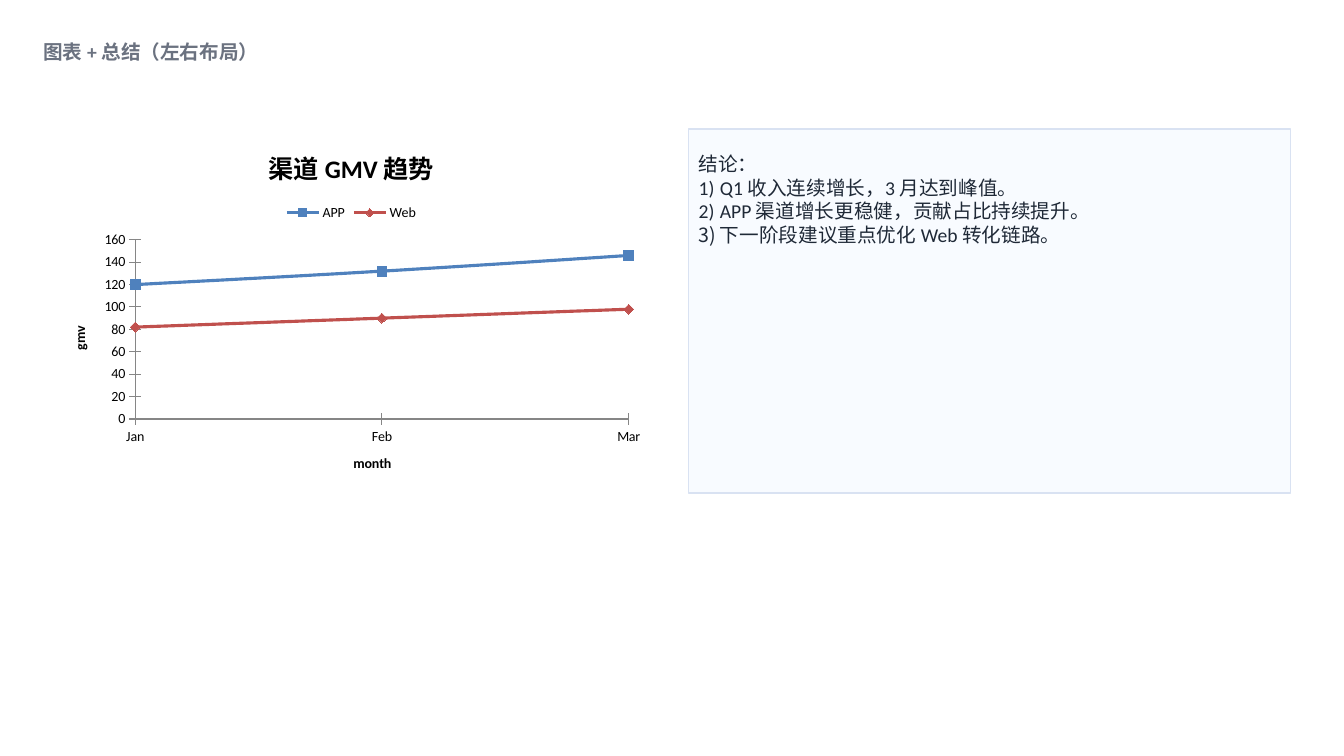
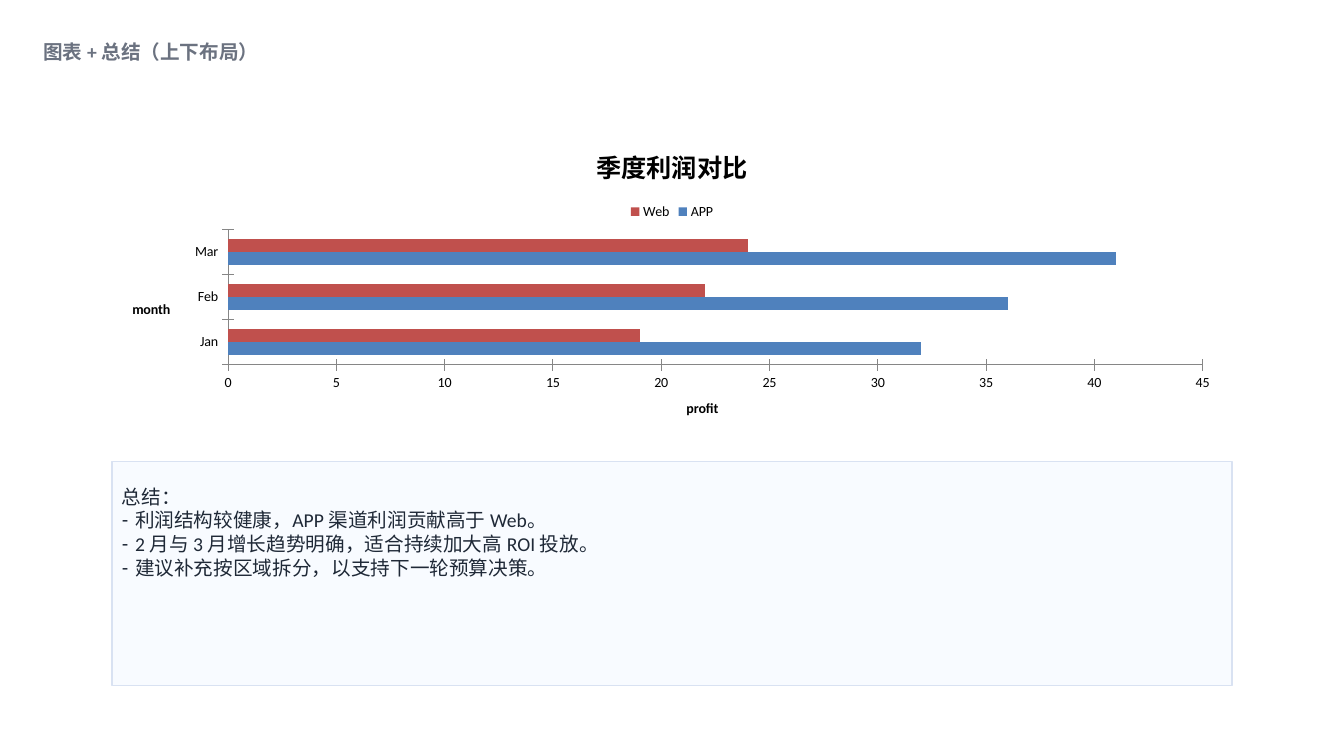
import pptx
import pptx.chart.data
import pptx.dml.color
import pptx.enum.chart
import pptx.enum.text
import pptx.oxml
import pptx.oxml.ns
import pptx.util
import lxml.etree

Inches = pptx.util.Inches
Pt = pptx.util.Pt
kinds = pptx.enum.chart.XL_CHART_TYPE
marks = pptx.enum.chart.XL_MARKER_STYLE
hues = {"title": "6B7280", "text": "1F2937", "panel": "F8FBFF", "edge": "D9E2F2",
        "chart": "000000", "axis": "868686", "APP": "4F81BD", "Web": "C0504D"}
shapes = {"APP": marks.SQUARE, "Web": marks.DIAMOND}
months = ["Jan", "Feb", "Mar"]

pages = [
    {"title": "图表 + 总结（左右布局）",
     "kind": kinds.LINE_MARKERS, "chart": "渠道 GMV 趋势", "value": "gmv",
     "data": {"APP": (120, 132, 146), "Web": (82, 90, 98)},
     "place": (0.5, 1.28, 5.97, 3.61), "panel": (6.83, 1.28, 5.97, 3.61),
     "head": "结论：", "bullet": ("buAutoNum", "type", "arabicParenR"), "indent": 0.21,
     "items": ["Q1 收入连续增长，3 月达到峰值。",
               "APP 渠道增长更稳健，贡献占比持续提升。",
               "下一阶段建议重点优化 Web 转化链路。"]},
    {"title": "图表 + 总结（上下布局）",
     "kind": kinds.BAR_CLUSTERED, "chart": "季度利润对比", "value": "profit",
     "data": {"APP": (32, 36, 41), "Web": (19, 22, 24)},
     "place": (1.11, 1.28, 11.11, 3.06), "panel": (1.11, 4.58, 11.11, 2.22),
     "head": "总结：", "bullet": ("buChar", "char", "-"), "indent": 0.13,
     "items": ["利润结构较健康，APP 渠道利润贡献高于 Web。",
               "2 月与 3 月增长趋势明确，适合持续加大高 ROI 投放。",
               "建议补充按区域拆分，以支持下一轮预算决策。"]},
]


def style(font, size, hue, bold=False):
    font.name = "Calibri"
    font.size = Pt(size)
    font.bold = bold
    font.color.rgb = pptx.dml.color.RGBColor.from_string(hues[hue])


def settle(shape, box):
    shape.left, shape.top, shape.width, shape.height = map(Inches, box)
    frame = shape.text_frame
    frame.word_wrap = True
    frame.auto_size = pptx.enum.text.MSO_AUTO_SIZE.NONE
    frame.vertical_anchor = pptx.enum.text.MSO_ANCHOR.TOP
    frame.margin_left = frame.margin_right = Inches(0.1)
    frame.margin_top = Inches(0.23)
    return frame


deck = pptx.Presentation()
deck.slide_width = Inches(13.33)
deck.slide_height = Inches(7.5)

for page in pages:
    slide = deck.slides.add_slide(deck.slide_layouts[1])
    frame = settle(slide.shapes.title, (0.33, 0.17, 11.94, 0.56))
    frame.text = page["title"]
    para = frame.paragraphs[0]
    para.alignment = pptx.enum.text.PP_ALIGN.LEFT
    style(para.font, 14, "title", True)

    data = pptx.chart.data.CategoryChartData()
    data.categories = months
    for name, values in page["data"].items():
        data.add_series(name, values)
    chart = slide.shapes.add_chart(page["kind"], *map(Inches, page["place"]), data).chart
    style(chart.font, 10, "chart")
    chart.has_title = True
    chart.chart_title.text_frame.text = page["chart"]
    style(chart.chart_title.text_frame.paragraphs[0].font, 18, "chart", True)
    chart.has_legend = True
    chart.legend.position = pptx.enum.chart.XL_LEGEND_POSITION.TOP
    chart.legend.include_in_layout = False

    lined = page["kind"] == kinds.LINE_MARKERS
    for axis, label, turn in ((chart.category_axis, "month", not lined),
                              (chart.value_axis, page["value"], lined)):
        axis.has_major_gridlines = False
        axis.major_tick_mark = pptx.enum.chart.XL_TICK_MARK.CROSS
        axis.format.line.width = Pt(0.75)
        axis.format.line.color.rgb = pptx.dml.color.RGBColor.from_string(hues["axis"])
        axis.axis_title.text_frame.text = label
        style(axis.axis_title.text_frame.paragraphs[0].font, 10, "chart", True)
        if turn:
            body = axis.axis_title.text_frame.paragraphs[0]._p.getparent().find(
                pptx.oxml.ns.qn("a:bodyPr"))
            body.set("rot", "-5400000" if lined else "0")
            body.set("vert", "horz")

    plot = chart.plots[0]
    plot.vary_by_categories = False
    if lined:
        cross = lxml.etree.Element(pptx.oxml.ns.qn("c:crossBetween"), val="midCat")
        chart.element.xpath(".//c:valAx/c:crosses")[0].addnext(cross)
    else:
        plot.gap_width = 150
    for line in plot.series:
        hue = pptx.dml.color.RGBColor.from_string(hues[line.name])
        if lined:
            line.smooth = True
            line.format.line.width = Pt(2.25)
            line.format.line.color.rgb = hue
            line.marker.style = shapes[line.name]
            line.marker.size = 7
            line.marker.format.fill.solid()
            line.marker.format.fill.fore_color.rgb = hue
            line.marker.format.line.color.rgb = hue
        else:
            line.format.fill.solid()
            line.format.fill.fore_color.rgb = hue

    panel = slide.placeholders[1]
    frame = settle(panel, page["panel"])
    panel.fill.solid()
    panel.fill.fore_color.rgb = pptx.dml.color.RGBColor.from_string(hues["panel"])
    panel.line.width = Pt(1)
    panel.line.color.rgb = pptx.dml.color.RGBColor.from_string(hues["edge"])
    frame.text = "\n".join([page["head"]] + page["items"])
    tag, key, mark = page["bullet"]
    for row, para in enumerate(frame.paragraphs):
        props = para._p.get_or_add_pPr()
        indent = Inches(page["indent"]) if row else 0
        props.set("marL", str(indent))
        props.set("indent", str(-indent))
        bullet = lxml.etree.SubElement(props, pptx.oxml.ns.qn("a:" + (tag if row else "buNone")))
        if row:
            bullet.set(key, mark)
        para.space_before = Pt(0)
        style(para.font, 14, "text")

deck.save("out.pptx")
